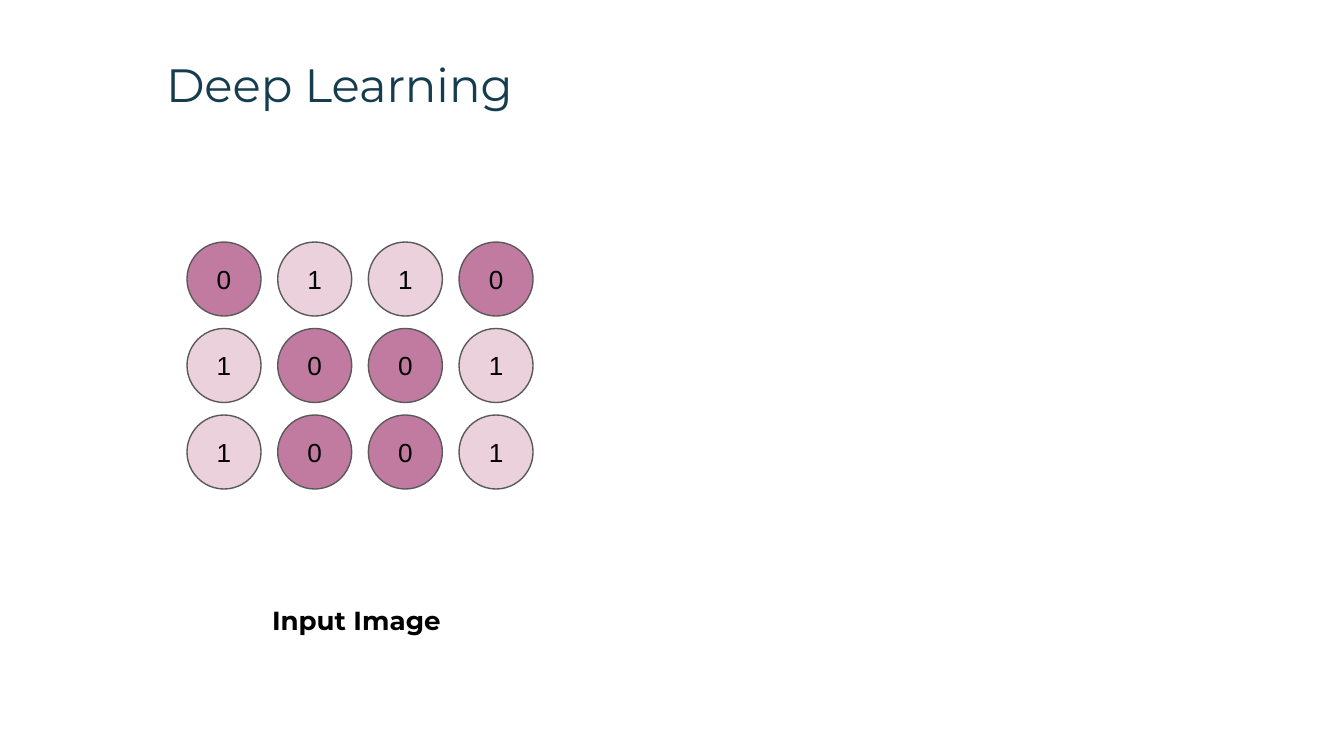
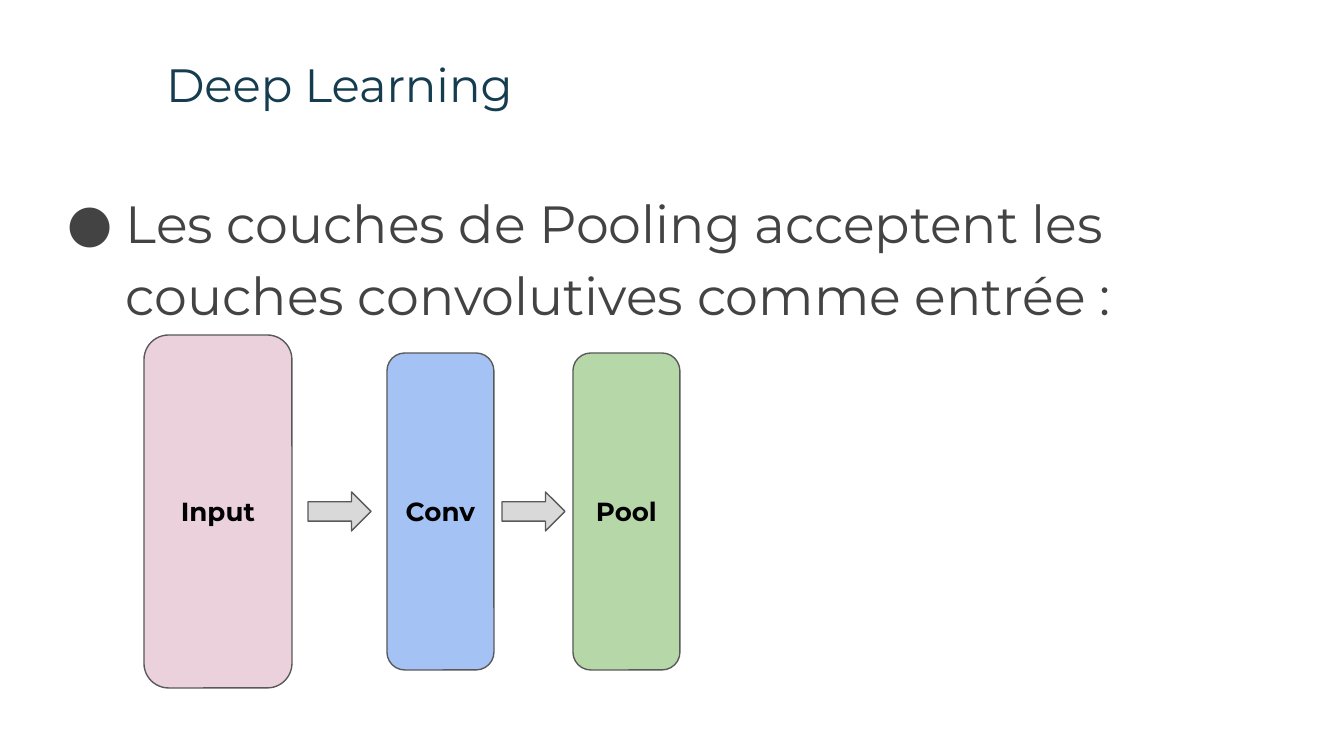
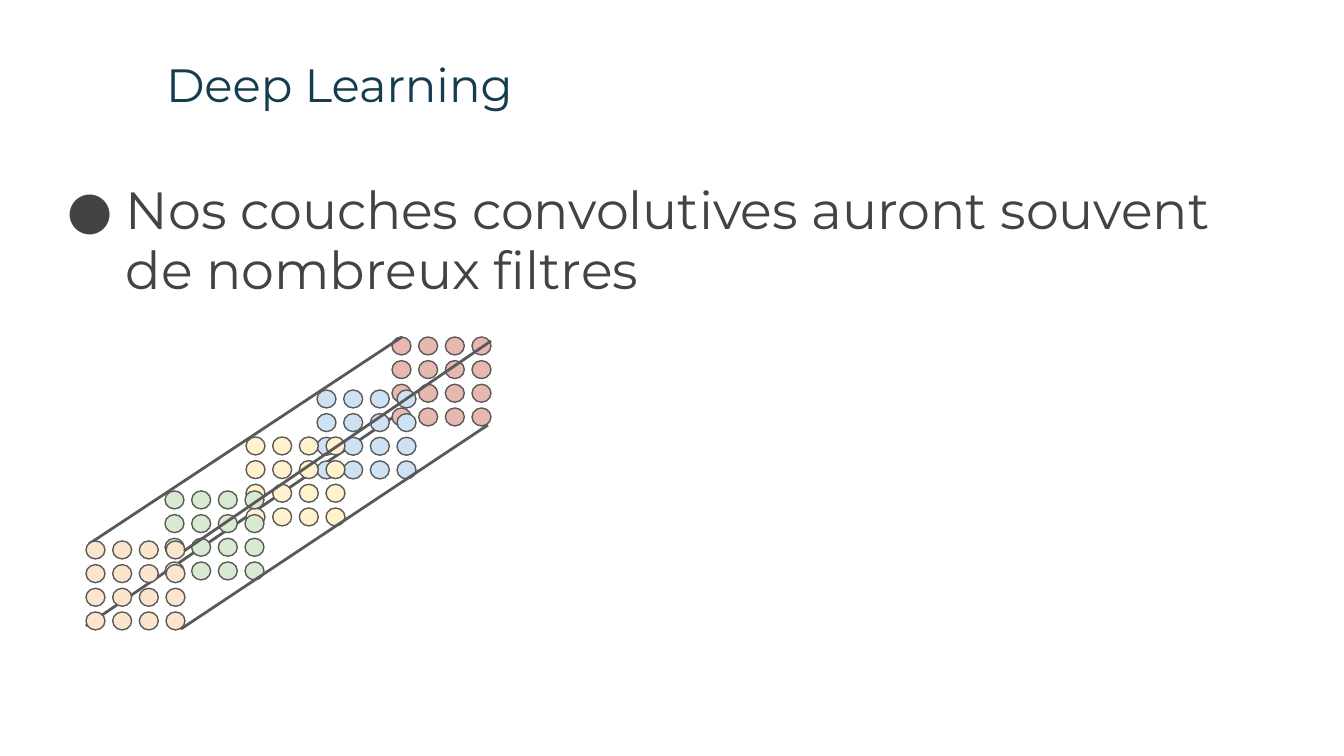
from lxml import etree
from pptx import Presentation
from pptx.dml.color import RGBColor
from pptx.enum import shapes, text
from pptx.oxml.ns import qn
from pptx.util import Emu, Pt

EMU_PER_PX = 914400 / 134.4
INSET = 13
HEADING_FONT = "Montserrat"
NAVY, GREY, BLACK, OUTLINE = "153C4F", "434343", "000000", "595959"
PINK, MAUVE, BLUE, GREEN, SILVER = "EAD1DC", "C27BA0", "A4C2F4", "B6D7A8", "D9D9D9"
RED_DOT, BLUE_DOT, YELLOW_DOT = "E6B8AF", "CFE2F3", "FFF2CC"
GREEN_DOT, ORANGE_DOT = "D9EAD3", "FCE5CD"


def px(length):
    return Emu(round(length * EMU_PER_PX))


def color(value):
    return RGBColor.from_string(value)


def add_bullet(para, ink):
    properties = para._p.get_or_add_pPr()
    properties.set("marL", str(px(67)))
    properties.set("indent", str(px(-59)))
    tint = etree.SubElement(properties, qn("a:buClr"))
    etree.SubElement(tint, qn("a:srgbClr"), val=ink)
    etree.SubElement(properties, qn("a:buFont"), typeface=HEADING_FONT)
    etree.SubElement(properties, qn("a:buChar"), char="●")


def write(shape, words, size=14, font=HEADING_FONT, ink=BLACK, bold=False,
          align=text.PP_ALIGN.LEFT, anchor=text.MSO_ANCHOR.TOP,
          spacing=None, bullet=False):
    frame = shape.text_frame
    frame.word_wrap = True
    frame.vertical_anchor = anchor
    frame.margin_left = frame.margin_right = px(INSET)
    frame.margin_top = frame.margin_bottom = px(INSET)
    para = frame.paragraphs[0]
    para.alignment = align
    if spacing:
        para.line_spacing = spacing
    if bullet:
        add_bullet(para, ink)
    span = para.add_run()
    span.text = words
    span.font.size = Pt(size)
    span.font.name = font
    span.font.bold = bold
    span.font.color.rgb = color(ink)


def add_text(page, box, words, **style):
    write(page.shapes.add_textbox(*map(px, box)), words, **style)


def add_figure(page, kind, box, fill, words="", **style):
    shape = page.shapes.add_shape(kind, *map(px, box))
    shape.shadow.inherit = False
    shape.fill.solid()
    shape.fill.fore_color.rgb = color(fill)
    shape.line.color.rgb = color(OUTLINE)
    shape.line.width = Pt(0.75)
    if words:
        write(shape, words, align=text.PP_ALIGN.CENTER,
              anchor=text.MSO_ANCHOR.MIDDLE, **style)


def add_rail(page, box, start, end):
    left, top = box[:2]
    ends = (left + start[0], top + start[1], left + end[0], top + end[1])
    rail = page.shapes.add_connector(shapes.MSO_CONNECTOR.STRAIGHT, *map(px, ends))
    rail.line.color.rgb = color(OUTLINE)
    rail.line.width = Pt(1.5)
    etree.SubElement(rail._element.spPr, qn("a:effectLst"))


def add_page(deck):
    page = deck.slides.add_slide(deck.slide_layouts[6])
    add_text(page, (153, 43, 1145, 85), "Deep Learning", size=25, ink=NAVY)
    return page


def add_body(page, box, words, spacing):
    add_text(page, box, words, size=28, ink=GREY, spacing=spacing, bullet=True)


def add_dots(page, box, rows, dot, fills):
    left, top, width, height = box
    step_x = (width - dot[0]) / (len(rows[0]) - 1)
    step_y = (height - dot[1]) / (len(rows) - 1)
    for row, marks in enumerate(rows):
        for column, mark in enumerate(marks):
            place = (left + column * step_x, top + row * step_y, *dot)
            add_figure(page, shapes.MSO_SHAPE.OVAL, place, fills[mark],
                       mark.strip(), font="Arial")


def add_layers(page, box):
    left, top, _, height = box
    layers = (("Input", 0, 148, 353, PINK),
              ("Conv", 243, 107, 317, BLUE),
              ("Pool", 429, 107, 317, GREEN))
    for name, offset, width, tall, fill in layers:
        place = (left + offset, top + (height - tall) / 2, width, tall)
        add_figure(page, shapes.MSO_SHAPE.ROUNDED_RECTANGLE, place, fill, name, bold=True)
    for offset in (164, 358):
        place = (left + offset, top + (height - 39) / 2, 63, 39)
        add_figure(page, shapes.MSO_SHAPE.RIGHT_ARROW, place, SILVER)


def add_filter_stack(page, box):
    left, top = box[:2]

    def add_filters(*filters):
        for x, y, fill in filters:
            add_dots(page, (left + x, top + y, 99, 89), ["    "] * 4,
                     (19, 18), {" ": fill})

    add_rail(page, box, (306, 81), (0, 289))
    add_filters((306, 0, RED_DOT), (231, 53, BLUE_DOT))
    add_rail(page, box, (316, 0), (3, 207))
    add_filters((160, 100, YELLOW_DOT), (79, 154, GREEN_DOT), (0, 204, ORANGE_DOT))
    add_rail(page, box, (405, 4), (98, 214))
    add_rail(page, box, (402, 88), (95, 292))


def build_input_page(deck):
    page = add_page(deck)
    add_dots(page, (187, 242, 346, 247), ["0110", "1001", "1001"],
             (74, 74), {"0": MAUVE, "1": PINK})
    add_text(page, (259, 591, 215, 74), "Input Image", bold=True)


def build_pooling_page(deck):
    page = add_page(deck)
    add_body(page, (46, 169, 1253, 503),
             "Les couches de Pooling acceptent les couches convolutives comme entrée :", 1.15)
    add_layers(page, (144, 335, 536, 353))


def build_filters_page(deck):
    page = add_page(deck)
    add_body(page, (46, 169, 1253, 153),
             "Nos couches convolutives auront souvent de nombreux filtres", 0.95)
    add_filter_stack(page, (86, 337, 405, 292))


def main():
    deck = Presentation()
    deck.slide_width, deck.slide_height = px(1344), px(756)
    build_input_page(deck)
    build_pooling_page(deck)
    build_filters_page(deck)
    deck.save("out.pptx")


if __name__ == "__main__":
    main()
